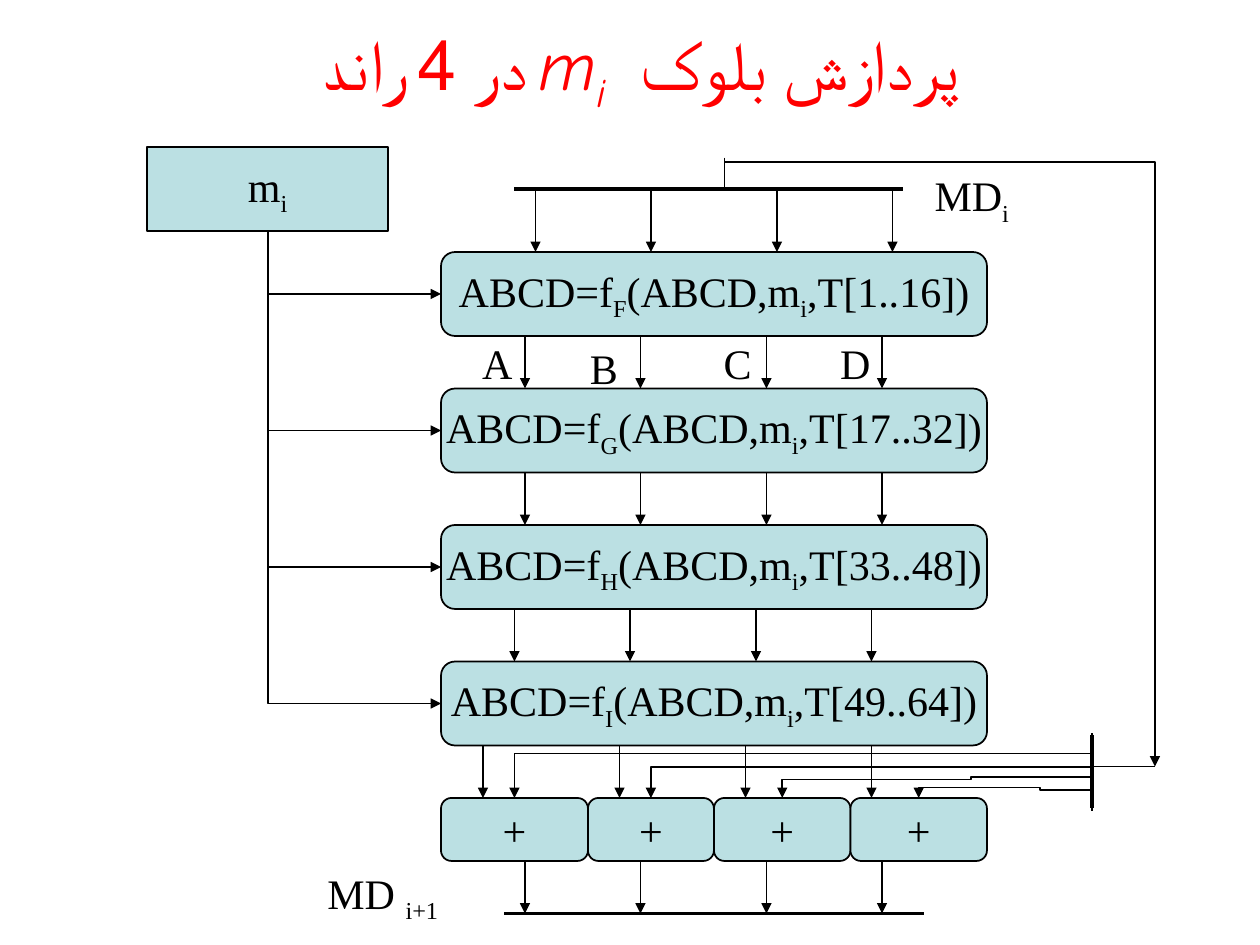
from dataclasses import dataclass
from itertools import pairwise

from pptx import Presentation
from pptx.dml.color import RGBColor
from pptx.enum import shapes, text
from pptx.oxml import ns, xmlchemy
from pptx.util import Pt


@dataclass(frozen=True)
class Theme:
    ink: RGBColor = RGBColor(0x00, 0x00, 0x00)
    box: RGBColor = RGBColor(0xBB, 0xE0, 0xE3)
    title: RGBColor = RGBColor(0xFF, 0x00, 0x00)
    body_font: str = "Times New Roman"
    title_font: str = "Comic Neue"
    body_size: float = 24
    title_size: float = 40
    thin: float = 1
    thick: float = 2.25


THEME = Theme()
ROUNDED = shapes.MSO_SHAPE.FLOWCHART_ALTERNATE_PROCESS
LEFT, WIDTH, HEIGHT = 252, 312, 48  # the four round boxes
FIRST_TOP, PITCH = 144, 78
WORD_OFFSETS = (0, 66, 138, 204)  # arrows of the words A, B, C, D
SUM_TOP, SUM_HEIGHT = 456, 36
SUM_EDGES = (252, 336, 408, 486, 564)
BUS_X = 624


def add_runs(paragraph, parts):
    """Write parts that alternate between baseline and subscript."""
    for index, part in enumerate(parts):
        run = paragraph.add_run()
        run.text = part
        if index % 2:
            run.font._element.set("baseline", "-25000")


def style_font(font, name, size, color):
    font.name, font.size = name, Pt(size)
    font.color.rgb = color


def add_title(slide):
    frame = slide.shapes.add_textbox(Pt(36), Pt(0), Pt(660), Pt(78)).text_frame
    frame.word_wrap = True
    frame.vertical_anchor = text.MSO_ANCHOR.MIDDLE
    heading = frame.paragraphs[0]
    heading.alignment = text.PP_ALIGN.CENTER
    heading.space_before, heading.space_after = Pt(12), Pt(3)
    heading._p.get_or_add_pPr().set("rtl", "1")
    style_font(heading.font, THEME.title_font, THEME.title_size, THEME.title)
    for part in ("پردازش بلوک  ", "m", "i ", "در 4 راند"):
        run = heading.add_run()
        run.text = part
        if part in ("m", "i "):
            run.font.italic = True
        if part == "i ":
            run.font._element.set("baseline", "-25000")


def add_box(slide, kind, x, y, width, height, *parts):
    box = slide.shapes.add_shape(kind, Pt(x), Pt(y), Pt(width), Pt(height))
    box.shadow.inherit = False
    box.fill.solid()
    box.fill.fore_color.rgb = THEME.box
    box.line.color.rgb = THEME.ink
    box.line.width = Pt(THEME.thin)
    frame = box.text_frame
    frame.word_wrap = False
    frame.vertical_anchor = text.MSO_ANCHOR.MIDDLE
    caption = frame.paragraphs[0]
    caption.alignment = text.PP_ALIGN.CENTER
    style_font(caption.font, THEME.body_font, THEME.body_size, THEME.ink)
    add_runs(caption, parts)
    return box


def add_label(slide, x, y, width, *parts):
    label = slide.shapes.add_textbox(Pt(x), Pt(y), Pt(width), Pt(36))
    frame = label.text_frame
    frame.word_wrap = False
    frame.auto_size = text.MSO_AUTO_SIZE.SHAPE_TO_FIT_TEXT
    style_font(frame.paragraphs[0].font, THEME.body_font, THEME.body_size, THEME.ink)
    add_runs(frame.paragraphs[0], parts)


def add_line(target, start, end, arrow=False, weight=THEME.thin,
             kind=shapes.MSO_CONNECTOR.STRAIGHT):
    line = target.add_connector(kind, *map(Pt, (*start, *end)))
    line.line.color.rgb = THEME.ink
    line.line.width = Pt(weight)
    if arrow:
        tail = xmlchemy.OxmlElement("a:tailEnd")
        tail.set("type", "triangle")
        line.line._get_or_add_ln().append(tail)
    line._element.spPr.append(xmlchemy.OxmlElement("a:effectLst"))
    return line


def add_elbow(slide, start, end, segments, flips, adjustments=(), source=None, goal=None):
    """Bent arrow that leaves its start vertically (preset turned by 270 degrees)."""
    elbow = add_line(slide.shapes, start, end, True, kind=shapes.MSO_CONNECTOR.ELBOW)
    if source is not None:
        elbow.begin_connect(*source)
    if goal is not None:
        elbow.end_connect(*goal)
    (x1, y1), (x2, y2) = start, end
    across, down = abs(x2 - x1), abs(y2 - y1)
    elbow.left, elbow.top = Pt((x1 + x2 - down) / 2), Pt((y1 + y2 - across) / 2)
    elbow.width, elbow.height = Pt(down), Pt(across)
    frame = elbow._element.spPr.find(ns.qn("a:xfrm"))
    frame.set("rot", str(270 * 60000))
    for axis in "HV":
        frame.set(f"flip{axis}", str(int(axis in flips)))
    preset = elbow._element.spPr.find(ns.qn("a:prstGeom"))
    preset.set("prst", f"bentConnector{segments}")
    guides = preset.find(ns.qn("a:avLst"))
    for index, value in enumerate(adjustments, 1):
        guide = xmlchemy.OxmlElement("a:gd")
        guide.set("name", f"adj{index}")
        guide.set("fmla", f"val {round(value * 100000)}")
        guides.append(guide)


def add_word_arrows(slide, x, top, bottom):
    row = slide.shapes.add_group_shape().shapes
    for offset in WORD_OFFSETS:
        add_line(row, (x + offset, top), (x + offset, bottom), True)


def main():
    deck = Presentation()
    deck.slide_width, deck.slide_height = Pt(720), Pt(540)
    slide = deck.slides.add_slide(deck.slide_layouts[6])
    add_title(slide)

    # Message block, four rounds and final additions
    message = add_box(slide, shapes.MSO_SHAPE.RECTANGLE, 84, 84, 138, HEIGHT, "m", "i")
    for index, name in enumerate("FGHI"):
        top = FIRST_TOP + index * PITCH
        steps = f",T[{16 * index + 1}..{16 * index + 16}])"
        stage = add_box(slide, ROUNDED, LEFT, top, WIDTH, HEIGHT,
                        "ABCD=f", name, "(ABCD,m", "i", steps)
        add_elbow(slide, (153, 132), (LEFT, top + HEIGHT / 2), 2, "H",
                  source=(message, 2), goal=(stage, 1))
    sums = [add_box(slide, ROUNDED, left, SUM_TOP, right - left, SUM_HEIGHT, "+")
            for left, right in pairwise(SUM_EDGES)]

    # Words passed from stage to stage
    for x, top, bottom in ((306, 108, 144), (300, 192, 222), (300, 270, 300),
                           (294, 348, 378), (300, 492, 522)):
        add_word_arrows(slide, x, top, bottom)
    for x in (276, 354, 426, 498):
        add_line(slide.shapes, (x, 426), (x, SUM_TOP), True)

    # Word names and digest labels
    for word, x, y in (("A", 268.5, 189.5), ("B", 330, 192),
                       ("C", 406.5, 189.5), ("D", 473, 189.5)):
        add_label(slide, x, y, 31, word)
    add_label(slide, 527, 93.5, 58, "MD", "i")
    add_label(slide, 180, 492, 81, "MD ", "i+1")

    # Digest bars
    for start, end in (((294, 108), (516, 108)), ((288, 522), (528, 522)),
                       ((BUS_X, 420), (BUS_X, 462))):
        add_line(slide.shapes, start, end, weight=THEME.thick)

    # Incoming digest carried round to the additions
    add_line(slide.shapes, (414, 90), (414, 108))
    add_elbow(slide, (414, 96), (660, 438), 3, "H", (-0.01,))
    add_line(slide.shapes, (BUS_X, 438), (660, 438))
    feeds = ((419, 3, "HV", (0.31,)), (419, 3, "HV", (0.52,)),
             (463.2, 5, "V", (2.67, 0.39, 2.46)), (463.2, 5, "V", (1.61, 0.3, 1.83)))
    for adder, (left, right), (y, segments, flips, bends) in zip(sums, pairwise(SUM_EDGES), feeds):
        add_elbow(slide, (BUS_X, y), ((left + right) / 2, SUM_TOP), segments, flips, bends,
                  goal=(adder, 0))

    deck.save("out.pptx")


if __name__ == "__main__":
    main()
